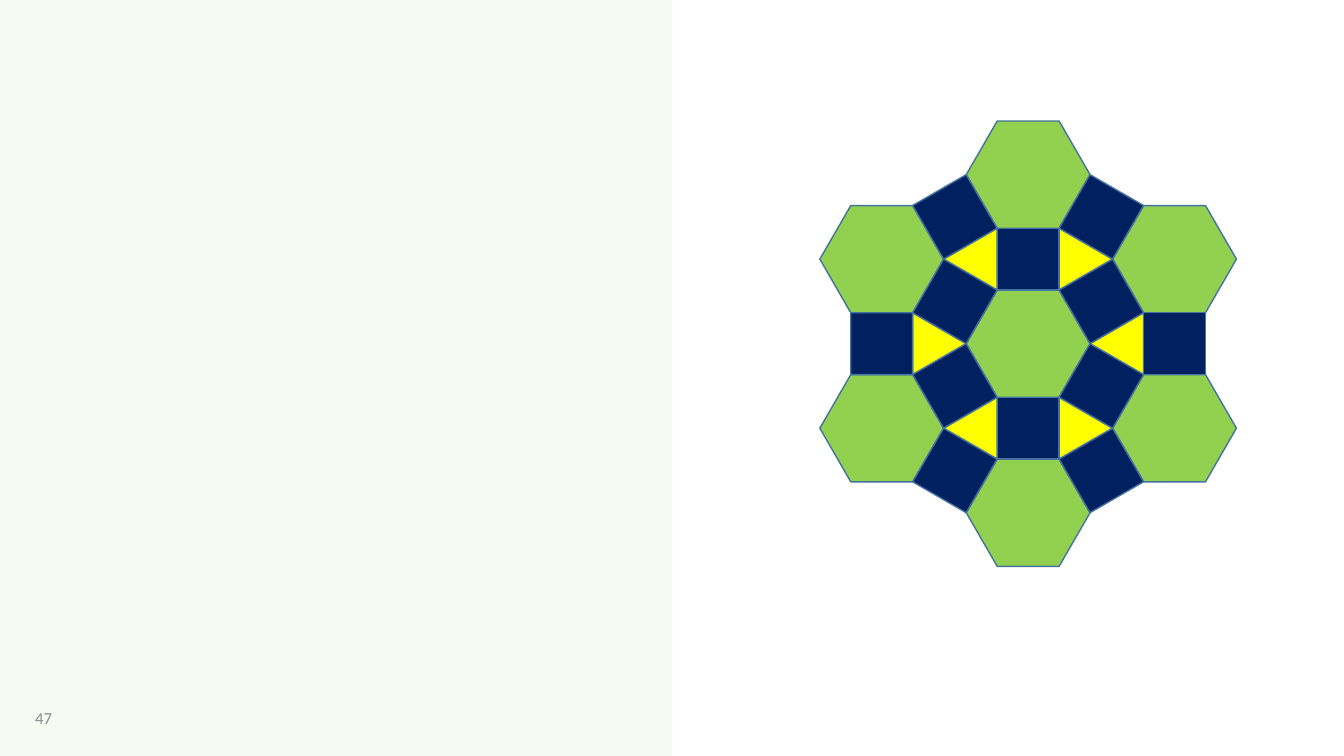
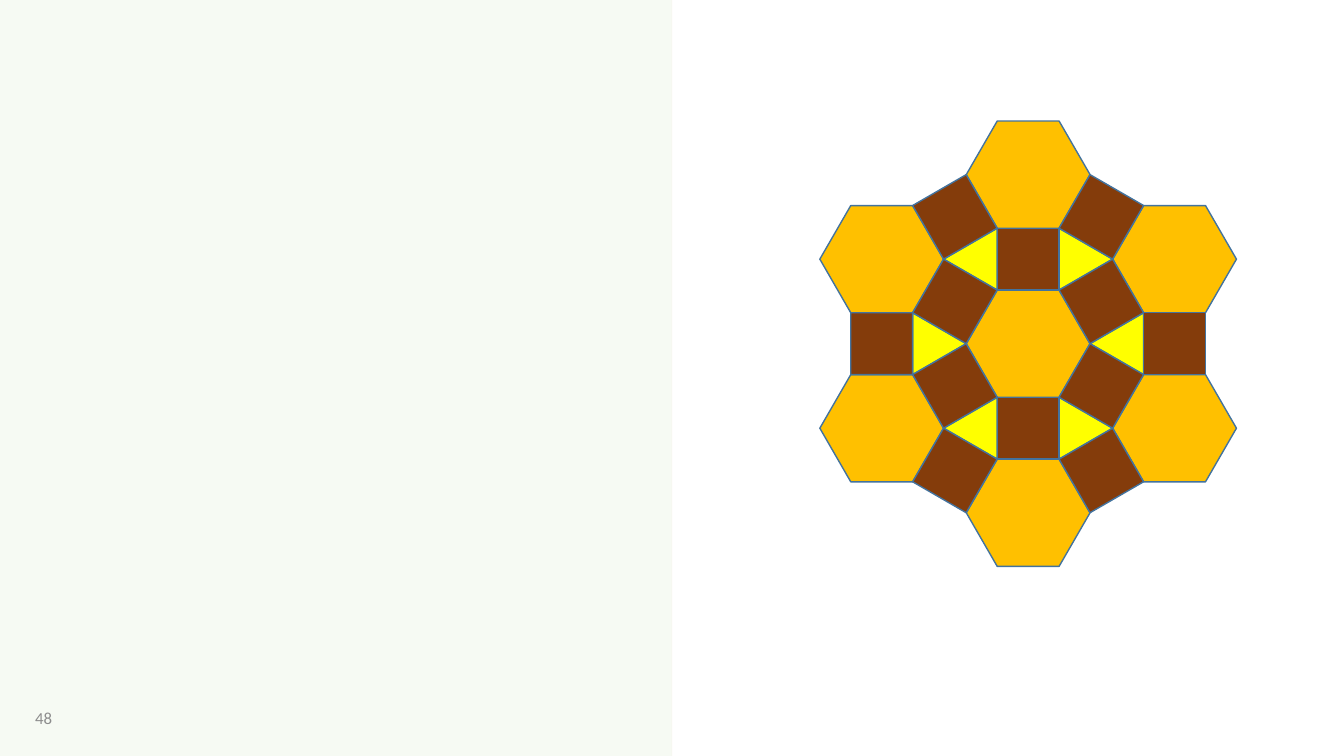
from dataclasses import dataclass
from math import cos, radians, sin, sqrt

from lxml import etree
from pptx import Presentation
from pptx.dml.color import RGBColor
from pptx.enum.shapes import MSO_CONNECTOR, MSO_SHAPE
from pptx.enum.text import MSO_ANCHOR
from pptx.oxml.ns import qn
from pptx.util import Pt

RECTANGLE = MSO_SHAPE.RECTANGLE
STRAIGHT = MSO_CONNECTOR.STRAIGHT
MIDDLE = MSO_ANCHOR.MIDDLE


@dataclass(frozen=True)
class Theme:
    panel: str = "E2F0D9"
    divider: str = "FBE5D6"
    number: str = "8C8C8C"
    outline: str = "43739E"
    triangle: str = "FFFF00"
    font: str = "Calibri"
    number_size: float = 12
    outline_width: float = 1
    divider_width: float = 0.25


THEME = Theme()
SLIDE_WIDTH, SLIDE_HEIGHT = 960, 540
BLANK_LAYOUT = 6
CENTER = (734.4, 245.5)
SIDE = 44.2
RING = SIDE * (1 + sqrt(3))
TILINGS = (
    ("47", "92D050", "002060"),
    ("48", "FFC000", "843C0B"),
)


def rgb(color):
    return RGBColor.from_string(color)


def set_opacity(element, percent):
    color = next(element.iter(qn("a:srgbClr")))
    etree.SubElement(color, qn("a:alpha")).set("val", str(percent * 1000))


def add_panel(slide):
    panel = slide.shapes.add_shape(RECTANGLE, 0, 0, Pt(SLIDE_WIDTH / 2), Pt(SLIDE_HEIGHT))
    panel.shadow.inherit = False
    panel.fill.solid()
    panel.fill.fore_color.rgb = rgb(THEME.panel)
    set_opacity(panel.element, 30)
    panel.line.fill.background()
    return panel


def add_divider(slide):
    middle = Pt(SLIDE_WIDTH / 2)
    divider = slide.shapes.add_connector(STRAIGHT, middle, Pt(SLIDE_HEIGHT), middle, 0)
    divider.line.color.rgb = rgb(THEME.divider)
    divider.line.width = Pt(THEME.divider_width)
    set_opacity(divider.element, 50)
    etree.SubElement(divider.element.spPr, qn("a:effectLst"))
    return divider


def decorate_layout(layout, slide):
    for placeholder in list(layout.placeholders):
        placeholder.element.getparent().remove(placeholder.element)
    for decoration in (add_panel(slide), add_divider(slide)):
        layout.shapes.element.append(decoration.element)


def add_page_number(slide, number):
    box = slide.shapes.add_textbox(Pt(18), Pt(499), Pt(48), Pt(28))
    frame = box.text_frame
    frame.word_wrap = True
    frame.vertical_anchor = MIDDLE
    run = frame.paragraphs[0].add_run()
    run.text = number
    run.font.name = THEME.font
    run.font.size = Pt(THEME.number_size)
    run.font.color.rgb = rgb(THEME.number)


def polar(origin, radius, degrees):
    angle = radians(degrees)
    return origin[0] + radius * cos(angle), origin[1] + radius * sin(angle)


def add_tile(group, center, sides, first_angle, color):
    radius = SIDE / (2 * sin(radians(180 / sides)))
    corners = [
        tuple(Pt(value) for value in polar(center, radius, first_angle + 360 * corner / sides))
        for corner in range(sides)
    ]
    outline = group.shapes.build_freeform(*corners[0])
    outline.add_line_segments(corners[1:], close=True)
    tile = outline.convert_to_shape()
    tile.shadow.inherit = False
    tile.fill.solid()
    tile.fill.fore_color.rgb = rgb(color)
    tile.line.color.rgb = rgb(THEME.outline)
    tile.line.width = Pt(THEME.outline_width)


def add_tiling(slide, hexagon_color, square_color):
    group = slide.shapes.add_group_shape()
    spokes = range(0, 360, 60)
    hexagon_spokes = range(30, 360, 60)
    for angle in spokes:
        add_tile(group, polar(CENTER, RING / sqrt(3), angle), 3, angle + 180, THEME.triangle)
    add_tile(group, CENTER, 6, 0, hexagon_color)
    for angle in hexagon_spokes:
        add_tile(group, polar(CENTER, RING, angle), 6, 0, hexagon_color)
    for angles, distance in ((hexagon_spokes, RING / 2), (spokes, RING * sqrt(3) / 2)):
        for angle in angles:
            add_tile(group, polar(CENTER, distance, angle), 4, angle + 45, square_color)


def main():
    presentation = Presentation()
    presentation.slide_width = Pt(SLIDE_WIDTH)
    presentation.slide_height = Pt(SLIDE_HEIGHT)
    layout = presentation.slide_layouts[BLANK_LAYOUT]
    slides = [presentation.slides.add_slide(layout) for _ in TILINGS]
    decorate_layout(layout, slides[0])
    for slide, (number, hexagon_color, square_color) in zip(slides, TILINGS):
        add_page_number(slide, number)
        add_tiling(slide, hexagon_color, square_color)
    presentation.save("out.pptx")


if __name__ == "__main__":
    main()
